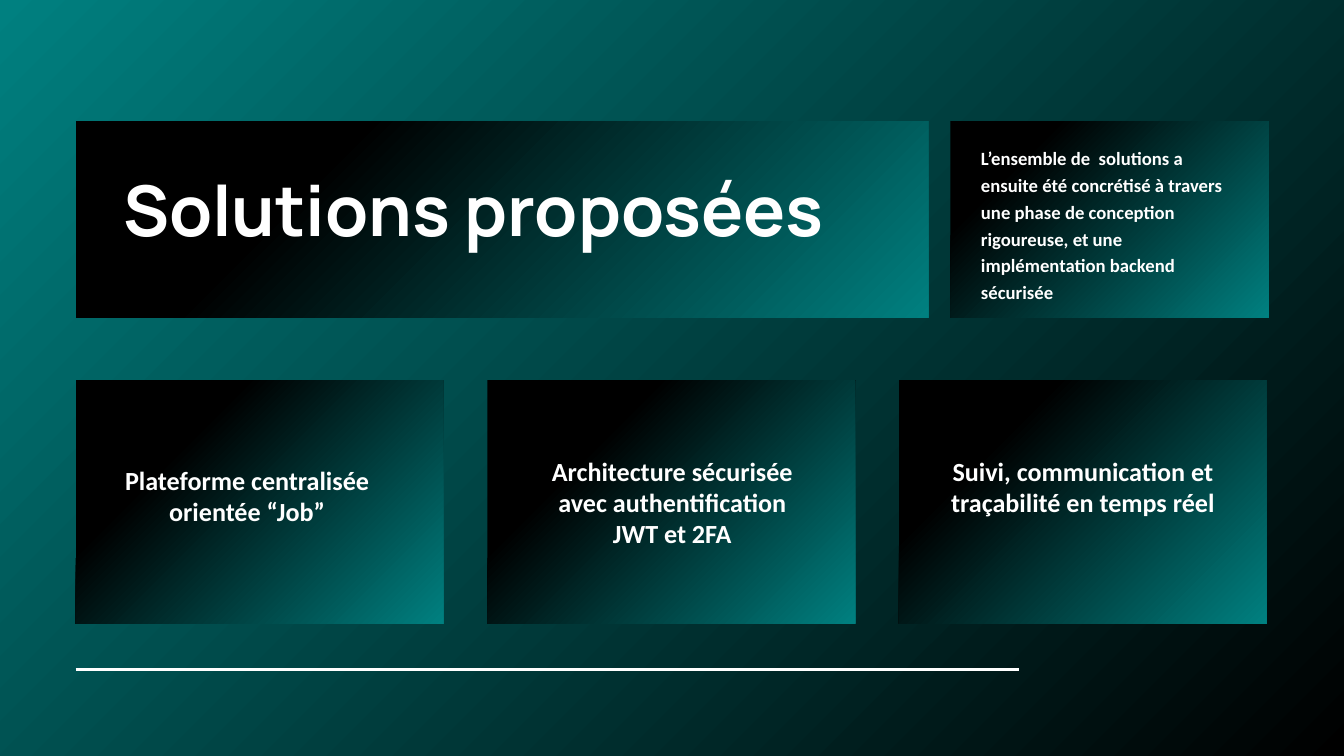
from dataclasses import dataclass

from lxml.etree import SubElement
from pptx import Presentation
from pptx.dml.color import RGBColor
from pptx.dml.fill import FillFormat
from pptx.enum.shapes import MSO_CONNECTOR, MSO_SHAPE
from pptx.enum.text import MSO_ANCHOR, MSO_AUTO_SIZE, PP_ALIGN
from pptx.oxml.ns import qn
from pptx.shapes.autoshape import Shape
from pptx.slide import Slide
from pptx.util import Cm, Pt


@dataclass(frozen=True)
class TextStyle:
    font: str
    size: float
    line_spacing: float
    align: PP_ALIGN


@dataclass(frozen=True)
class Theme:
    teal: RGBColor = RGBColor(0x00, 0x80, 0x80)
    black: RGBColor = RGBColor(0x00, 0x00, 0x00)
    white: RGBColor = RGBColor(0xFF, 0xFF, 0xFF)
    rule_width: float = 3
    title: TextStyle = TextStyle("Manrope", 75, 79.5, PP_ALIGN.LEFT)
    summary: TextStyle = TextStyle("Calibri", 20, 28.8, PP_ALIGN.LEFT)
    card: TextStyle = TextStyle("Calibri", 28, 33.6, PP_ALIGN.CENTER)


@dataclass(frozen=True)
class Area:
    left: float
    top: float
    width: float
    height: float


@dataclass(frozen=True)
class Card:
    text: str
    text_area: Area
    black_until: float = 0.28


THEME = Theme()
MARGIN = 2.86
HEADER_TOP, HEADER_HEIGHT = 4.58, 7.43
CARD_TOP, CARD_WIDTH, CARD_HEIGHT, CARD_PITCH = 14.38, 13.9, 9.2, 15.56
RULE_TOP, RULE_END = 25.32, 38.53

TITLE = "Solutions proposées"
SUMMARY = (
    "L’ensemble de  solutions a ensuite été concrétisé à travers une phase de "
    "conception rigoureuse, et une implémentation backend sécurisée"
)
CARDS = [
    Card("Plateforme centralisée orientée “Job”", Area(4.22, 17.55, 10.24, 2.39)),
    Card(
        "Architecture sécurisée avec authentification JWT et 2FA",
        Area(20.29, 17.2, 10.24, 3.58),
    ),
    Card(
        "Suivi, communication et traçabilité en temps réel",
        Area(35.28, 17.2, 11.3, 2.39),
        0.26,
    ),
]


def fill_diagonal(
    fill: FillFormat, start: RGBColor, end: RGBColor, start_position: float = 0
) -> None:
    fill.gradient()
    fill.gradient_angle = 315
    for stop, color, position in zip(
        fill.gradient_stops, (start, end), (start_position, 1)
    ):
        stop.color.rgb = color
        stop.position = position


def place(shape: Shape, area: Area) -> None:
    shape.left, shape.top = Cm(area.left), Cm(area.top)
    shape.width, shape.height = Cm(area.width), Cm(area.height)


def add_panel(slide: Slide, area: Area, black_until: float) -> None:
    panel = slide.shapes.add_shape(MSO_SHAPE.RECTANGLE, 0, 0, 0, 0)
    place(panel, area)
    panel.shadow.inherit = False
    panel.line.fill.background()
    fill_diagonal(panel.fill, THEME.black, THEME.teal, black_until)


def write_text(box: Shape, area: Area, text: str, style: TextStyle) -> None:
    place(box, area)
    frame = box.text_frame
    frame.word_wrap = True
    frame.auto_size = MSO_AUTO_SIZE.SHAPE_TO_FIT_TEXT
    frame.vertical_anchor = MSO_ANCHOR.TOP
    frame.margin_left = frame.margin_right = 0
    frame.margin_top = frame.margin_bottom = 0
    para = frame.paragraphs[0]
    para.alignment = style.align
    para.line_spacing = Pt(style.line_spacing)
    span = para.add_run()
    span.text = text
    span.font.name = style.font
    span.font.size = Pt(style.size)
    span.font.bold = True
    span.font.color.rgb = THEME.white


def add_text(slide: Slide, area: Area, text: str, style: TextStyle) -> None:
    write_text(slide.shapes.add_textbox(0, 0, 0, 0), area, text, style)


def add_rule(slide: Slide) -> None:
    rule = slide.shapes.add_connector(
        MSO_CONNECTOR.STRAIGHT, Cm(MARGIN), Cm(RULE_TOP), Cm(RULE_END), Cm(RULE_TOP)
    )
    rule.line.color.rgb = THEME.white
    rule.line.width = Pt(THEME.rule_width)
    SubElement(rule._element.spPr, qn("a:effectLst"))


def main() -> None:
    deck = Presentation()
    deck.slide_width, deck.slide_height = Cm(50.8), Cm(28.58)
    page = deck.slides.add_slide(deck.slide_layouts[5])
    fill_diagonal(page.background.fill, THEME.teal, THEME.black)

    add_panel(page, Area(MARGIN, HEADER_TOP, 32.23, HEADER_HEIGHT), 0.28)
    add_panel(page, Area(35.92, HEADER_TOP, 12.04, HEADER_HEIGHT), 0.21)
    for index, card in enumerate(CARDS):
        left = MARGIN + index * CARD_PITCH
        add_panel(page, Area(left, CARD_TOP, CARD_WIDTH, CARD_HEIGHT), card.black_until)
    add_rule(page)

    title = page.shapes.title
    page.shapes._spTree.append(title._element)
    write_text(title, Area(4.65, 6.68, 28.8, 2.9), TITLE, THEME.title)
    add_text(page, Area(37.08, 5.38, 9.68, 6.12), SUMMARY, THEME.summary)
    for card in CARDS:
        add_text(page, card.text_area, card.text, THEME.card)

    deck.save("out.pptx")


if __name__ == "__main__":
    main()
